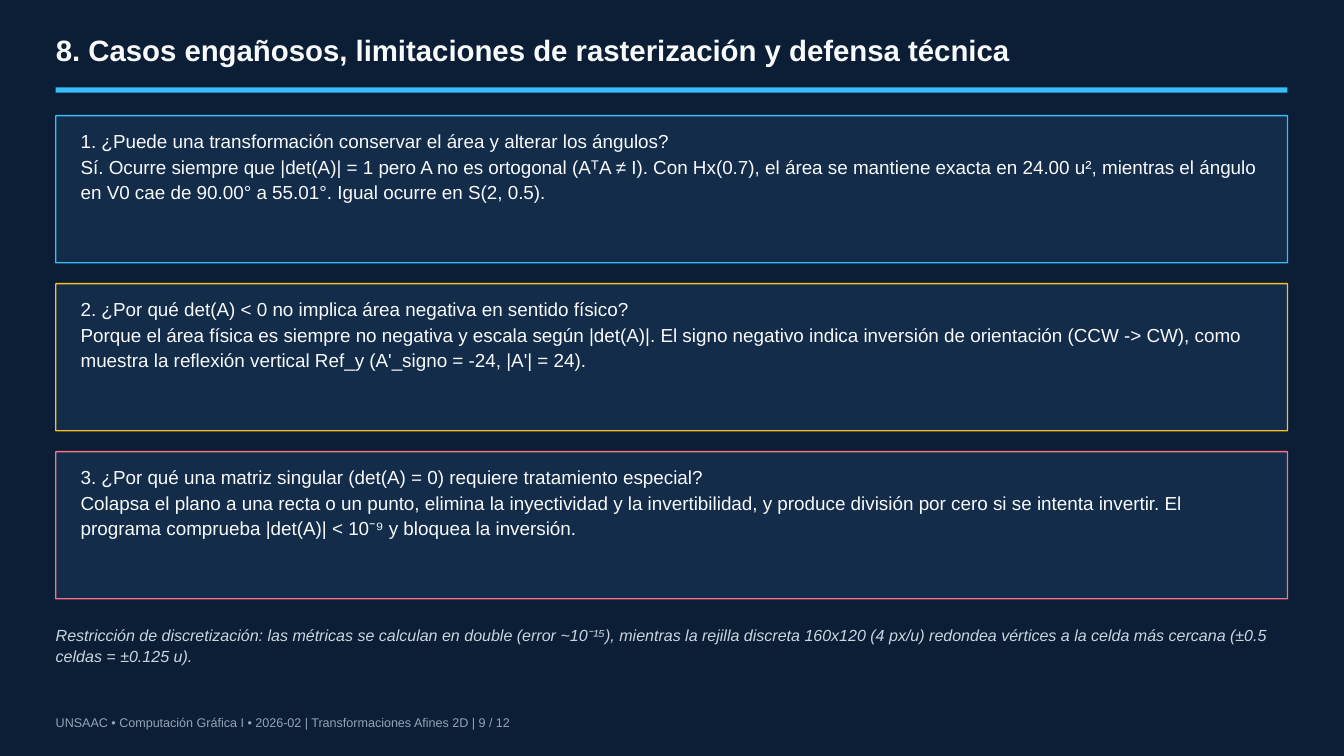
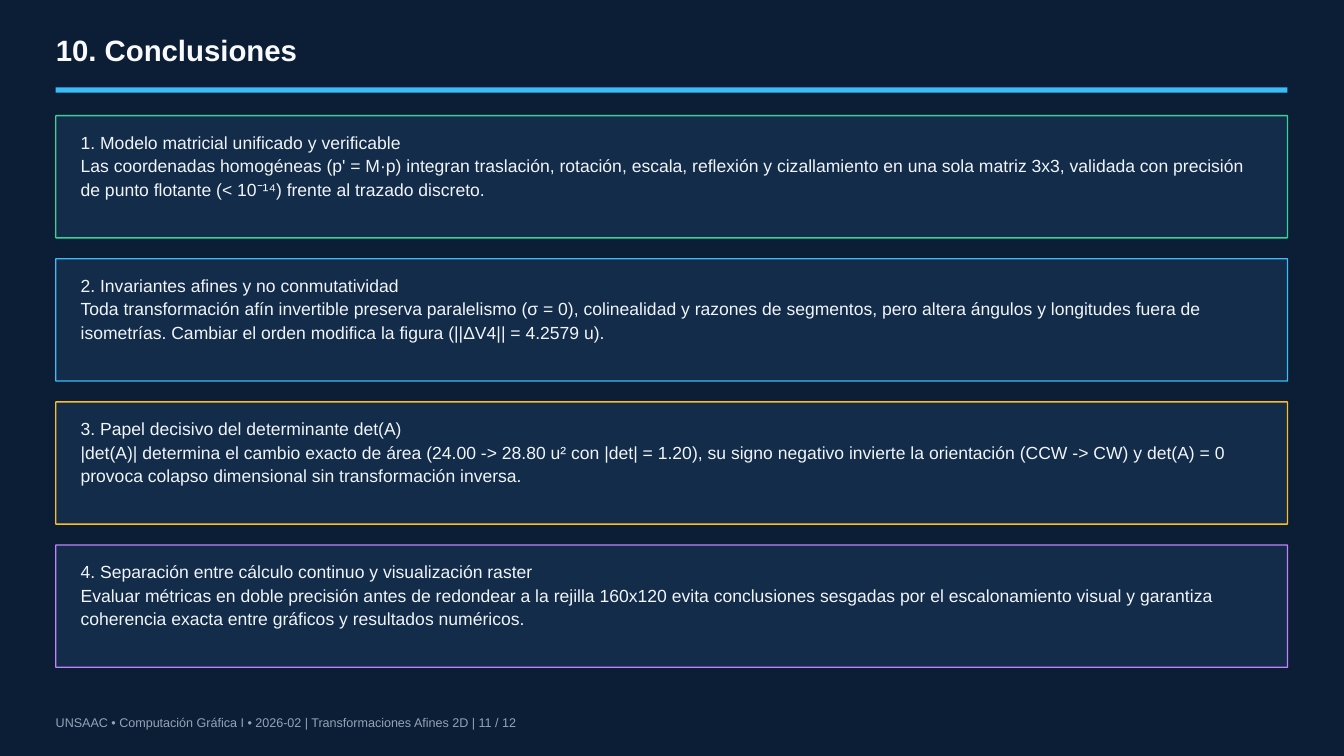
from pptx import Presentation
from pptx.dml.color import RGBColor
from pptx.enum.shapes import MSO_SHAPE as Shape
from pptx.enum.text import MSO_ANCHOR as Anchor, MSO_AUTO_SIZE as AutoSize, PP_ALIGN as Align
from pptx.util import Inches, Pt

# Shared palette and grid
NIGHT, PANEL = "0B1E35", "132C4A"
SKY, AMBER, ROSE, GREEN, VIOLET = "38BDF8", "FBBF24", "FB7185", "34D399", "C084FC"
WHITE, PALE, SILVER, SLATE = "F8FAFC", "F1F5F9", "CBD5E1", "94A3B8"
MARGIN, CONTENT_WIDTH = 0.83, 18.33
CARD_TOP, CARD_GAP, CARD_INDENT = 1.72, 0.31, 0.37
FOOTER = "UNSAAC • Computación Gráfica I • 2026-02 | Transformaciones Afines 2D | {} / 12"


def color(hex_code):
    return RGBColor.from_string(hex_code)


def write(holder, text, left=MARGIN, top=0, width=CONTENT_WIDTH, height=1, size=18,
          spacing=24, ink=WHITE, bold=False, italic=False):
    """Place a text holder and fill it, one paragraph per line of text."""
    holder.left, holder.top = Inches(left), Inches(top)
    holder.width, holder.height = Inches(width), Inches(height)
    frame = holder.text_frame
    frame.text = text
    frame.word_wrap = True
    frame.auto_size = AutoSize.NONE
    frame.vertical_anchor = Anchor.TOP
    frame.margin_left = frame.margin_top = frame.margin_right = frame.margin_bottom = 0
    for paragraph in frame.paragraphs:
        paragraph.alignment = Align.LEFT
        paragraph.line_spacing = Pt(spacing)
        paragraph.space_before = Pt(0)
        font = paragraph.font
        font.name, font.size = "Arial", Pt(size)
        font.bold, font.italic = bold, italic
        font.color.rgb = color(ink)


# Content of each slide
sections = [
    dict(
        title="8. Casos engañosos, limitaciones de rasterización y defensa técnica",
        page=9, card_height=2.19, text_offset=0.17,
        body=dict(size=20.2, spacing=27.3, height=1.12, ink=WHITE),
        cards=[
            (SKY, "1. ¿Puede una transformación conservar el área y alterar los ángulos?",
             "Sí. Ocurre siempre que |det(A)| = 1 pero A no es ortogonal (AᵀA ≠ I). "
             "Con Hx(0.7), el área se mantiene exacta en 24.00 u², mientras el ángulo "
             "en V0 cae de 90.00° a 55.01°. Igual ocurre en S(2, 0.5)."),
            (AMBER, "2. ¿Por qué det(A) < 0 no implica área negativa en sentido físico?",
             "Porque el área física es siempre no negativa y escala según |det(A)|. "
             "El signo negativo indica inversión de orientación (CCW -> CW), como "
             "muestra la reflexión vertical Ref_y (A'_signo = -24, |A'| = 24)."),
            (ROSE, "3. ¿Por qué una matriz singular (det(A) = 0) requiere tratamiento especial?",
             "Colapsa el plano a una recta o un punto, elimina la inyectividad y la "
             "invertibilidad, y produce división por cero si se intenta invertir. El "
             "programa comprueba |det(A)| < 10⁻⁹ y bloquea la inversión."),
        ],
        remark="Restricción de discretización: las métricas se calculan en double "
               "(error ~10⁻¹⁵), mientras la rejilla discreta 160x120 (4 px/u) redondea "
               "vértices a la celda más cercana (±0.5 celdas = ±0.125 u).",
    ),
    dict(
        title="10. Conclusiones",
        page=11, card_height=1.82, text_offset=0.2,
        body=dict(size=18.8, spacing=25.3, height=1.05, ink=PALE),
        cards=[
            (GREEN, "1. Modelo matricial unificado y verificable",
             "Las coordenadas homogéneas (p' = M·p) integran traslación, rotación, "
             "escala, reflexión y cizallamiento en una sola matriz 3x3, validada con "
             "precisión de punto flotante (< 10⁻¹⁴) frente al trazado discreto."),
            (SKY, "2. Invariantes afines y no conmutatividad",
             "Toda transformación afín invertible preserva paralelismo (σ = 0), "
             "colinealidad y razones de segmentos, pero altera ángulos y longitudes "
             "fuera de isometrías. Cambiar el orden modifica la figura "
             "(||ΔV4|| = 4.2579 u)."),
            (AMBER, "3. Papel decisivo del determinante det(A)",
             "|det(A)| determina el cambio exacto de área (24.00 -> 28.80 u² con "
             "|det| = 1.20), su signo negativo invierte la orientación (CCW -> CW) y "
             "det(A) = 0 provoca colapso dimensional sin transformación inversa."),
            (VIOLET, "4. Separación entre cálculo continuo y visualización raster",
             "Evaluar métricas en doble precisión antes de redondear a la rejilla "
             "160x120 evita conclusiones sesgadas por el escalonamiento visual y "
             "garantiza coherencia exacta entre gráficos y resultados numéricos."),
        ],
        remark=None,
    ),
]

# Presentation and shared background
prs = Presentation()
prs.slide_width, prs.slide_height = Inches(20), Inches(11.25)
backdrop = prs.slide_master.background.fill
backdrop.solid()
backdrop.fore_color.rgb = color(NIGHT)

for section in sections:
    slide = prs.slides.add_slide(prs.slide_layouts[5])
    shapes = slide.shapes

    # Title and rule beneath it
    write(shapes.title, section["title"], top=0.39, height=0.61,
          size=31.5, spacing=44.1, bold=True)
    rule = shapes.add_shape(Shape.RECTANGLE, Inches(MARGIN), Inches(1.3),
                            Inches(CONTENT_WIDTH), Inches(0.08))
    rule.shadow.inherit = False
    rule.fill.solid()
    rule.fill.fore_color.rgb = color(SKY)
    rule.line.fill.background()

    # Stacked cards
    card_height = section["card_height"]
    for row, (accent, heading, answer) in enumerate(section["cards"]):
        top = CARD_TOP + row * (card_height + CARD_GAP)
        card = shapes.add_shape(Shape.ROUNDED_RECTANGLE, Inches(MARGIN), Inches(top),
                                Inches(CONTENT_WIDTH), Inches(card_height))
        card.adjustments[0] = 0.01 / card_height
        card.shadow.inherit = False
        card.fill.solid()
        card.fill.fore_color.rgb = color(PANEL)
        card.line.color.rgb = color(accent)
        card.line.width = Pt(1.5)
        write(shapes.add_textbox(0, 0, 0, 0), f"{heading}\n{answer}",
              left=MARGIN + CARD_INDENT, top=top + section["text_offset"],
              width=17.6, **section["body"])

    # Closing remark and footer
    if section["remark"]:
        write(shapes.add_textbox(0, 0, 0, 0), section["remark"], top=9.28, height=0.62,
              size=17.2, spacing=22.4, ink=SILVER, italic=True)
    write(shapes.add_textbox(0, 0, 0, 0), FOOTER.format(section["page"]), top=10.6,
          height=0.26, size=13.5, spacing=18.9, ink=SLATE)

prs.save("out.pptx")
